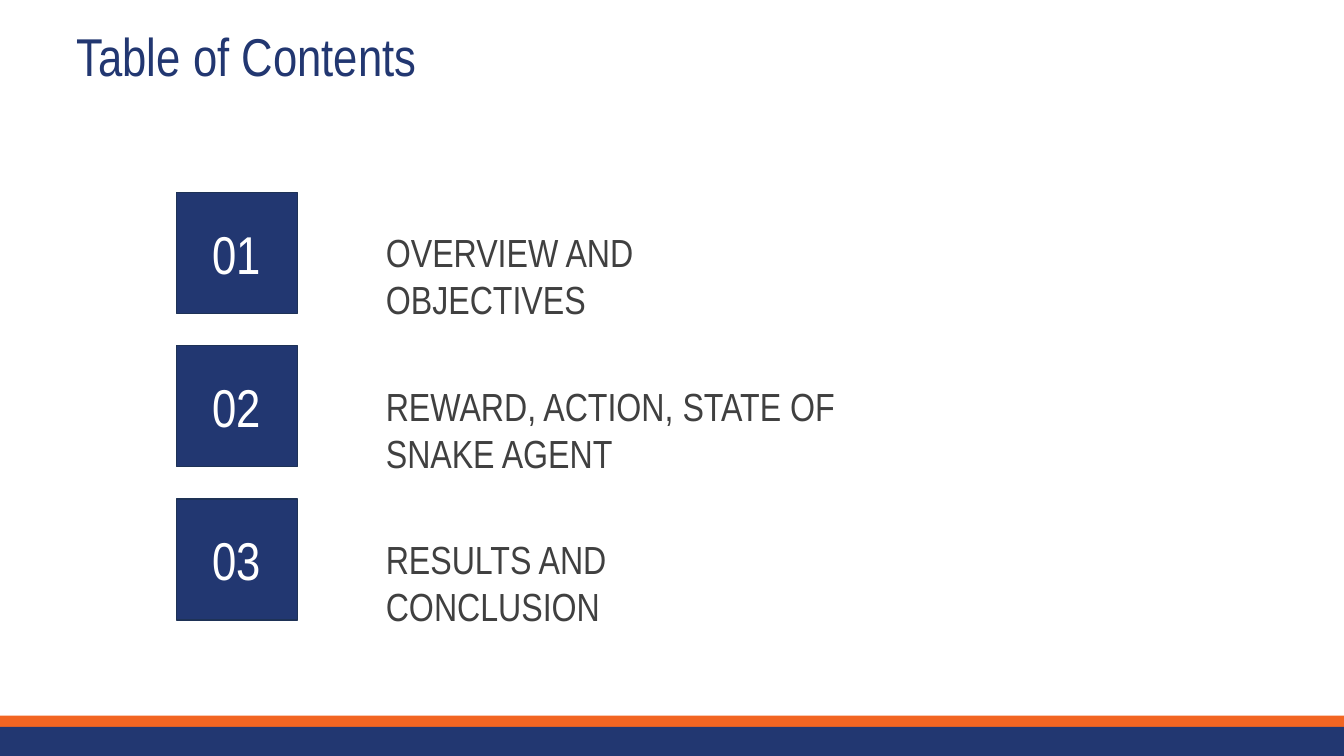
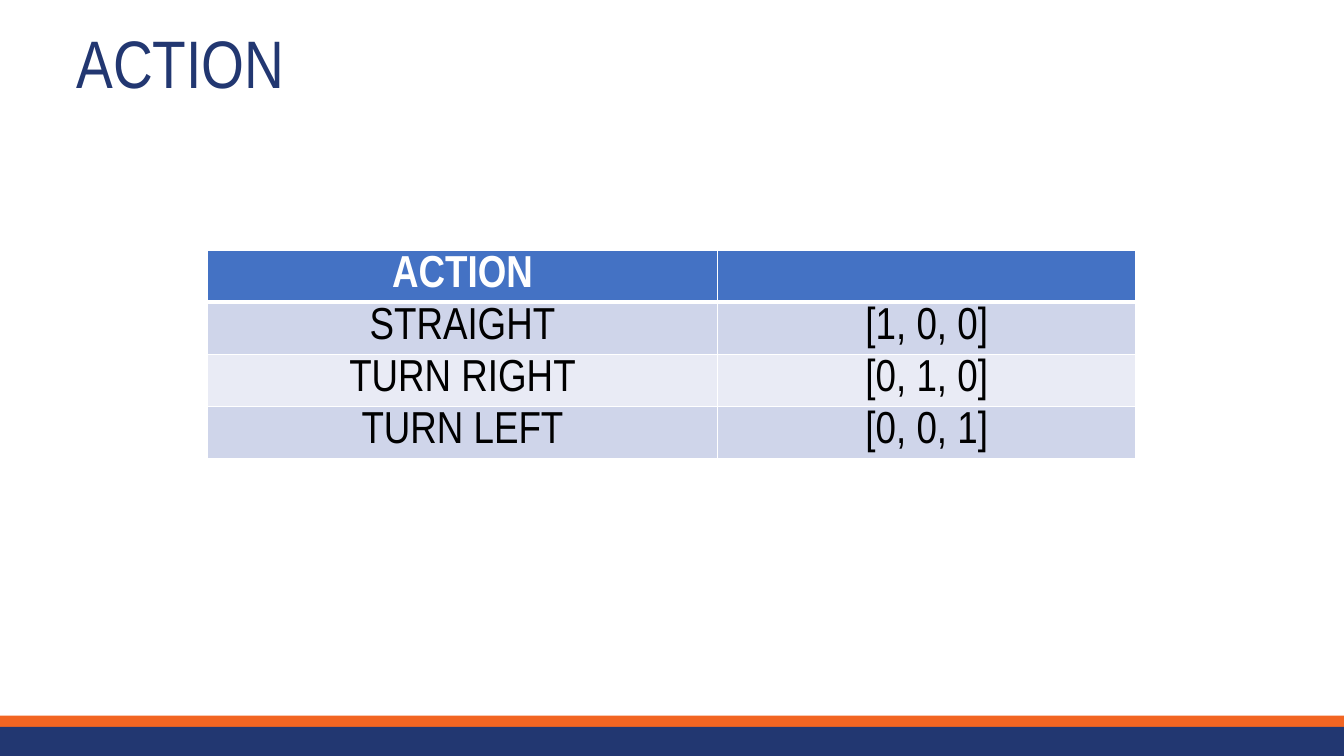
from dataclasses import dataclass
from typing import NamedTuple

from lxml.etree import SubElement
from pptx import Presentation
from pptx.dml.color import RGBColor
from pptx.enum.shapes import MSO_SHAPE
from pptx.enum.text import MSO_ANCHOR, MSO_AUTO_SIZE, PP_ALIGN
from pptx.oxml.ns import qn
from pptx.shapes.autoshape import Shape
from pptx.slide import Slide, SlideLayout
from pptx.table import _Cell
from pptx.text.text import TextFrame
from pptx.util import Emu, Inches, Pt

COLUMNS, ROWS = 160, 90
UNIT = Inches(1) // 12


@dataclass(frozen=True)
class Theme:
    """Colours, typeface and type sizes of the deck."""

    font: str = "Arial Narrow"
    navy: str = "223771"
    navy_edge: str = "1E3256"
    orange: str = "F26522"
    white: str = "FFFFFF"
    black: str = "000000"
    gray: str = "404040"
    header: str = "4472C4"
    stripes: tuple[str, str] = ("CFD5EA", "E9EBF5")
    heading: int = 38
    large_heading: int = 48
    agenda: int = 28
    table: int = 32


class Area(NamedTuple):
    """A rectangle in grid columns and rows."""

    column: float
    row: float
    width: float
    height: float

    def lengths(self) -> tuple[Emu, ...]:
        """Return left, top, width and height as slide lengths."""
        return tuple(Emu(round(value * UNIT)) for value in self)


class Band(NamedTuple):
    """A footer strip across the slide."""

    row: float
    height: float
    color: str


class AgendaItem(NamedTuple):
    """One agenda entry and the width of its label."""

    label: str
    width: float


THEME = Theme()
TITLE = Area(7.92, 3, 102.12, 7.32)
BANDS = (Band(85.2, 1.4, THEME.orange), Band(86.52, 3.48, THEME.navy))
AGENDA = (
    AgendaItem("OVERVIEW AND OBJECTIVES", 43.44),
    AgendaItem("REWARD, ACTION, STATE OF SNAKE AGENT", 64.32),
    AgendaItem("RESULTS AND CONCLUSION", 42),
)
AGENDA_TOP, AGENDA_PITCH = 22.92, 18.24
ACTIONS = (
    ("ACTION", ""),
    ("STRAIGHT", "[1, 0, 0]"),
    ("TURN RIGHT", "[0, 1, 0]"),
    ("TURN LEFT", "[0, 0, 1]"),
)
ACTION_COLUMNS = (60.72, 49.8)
ACTION_ROW = 6.18


def write(frame: TextFrame, text: str, size: int, color: str,
          align: PP_ALIGN = PP_ALIGN.LEFT, bold: bool = False) -> None:
    """Fill a text frame with one formatted paragraph."""
    paragraph = frame.paragraphs[0]
    if text:
        paragraph.text = text
    paragraph.alignment = align
    paragraph.font.name = THEME.font
    paragraph.font.size = Pt(size)
    paragraph.font.bold = bold
    paragraph.font.color.rgb = RGBColor.from_string(color)


def add_block(slide: Slide, area: Area, color: str) -> Shape:
    """Add a filled rectangle without outline or shadow."""
    block = slide.shapes.add_shape(MSO_SHAPE.RECTANGLE, *area.lengths())
    block.shadow.inherit = False
    block.fill.solid()
    block.fill.fore_color.rgb = RGBColor.from_string(color)
    block.line.fill.background()
    return block


def style_layout(layout: SlideLayout, slide: Slide) -> None:
    """Place the shared title and footer bands on the layout."""
    title = layout.placeholders[0]
    title.left, title.top, title.width, title.height = TITLE.lengths()
    for index, band in enumerate(BANDS):
        block = add_block(slide, Area(0, band.row, COLUMNS, band.height), band.color)
        layout.shapes.element.insert(2 + index, block.element)


def set_title(slide: Slide, text: str, size: int) -> None:
    """Write the slide title in the title placeholder."""
    frame = slide.shapes.title.text_frame
    frame.auto_size = MSO_AUTO_SIZE.NONE
    frame.vertical_anchor = MSO_ANCHOR.TOP
    write(frame, text, size, THEME.navy)
    frame.paragraphs[0].line_spacing = 0.9


def add_agenda_item(slide: Slide, index: int, item: AgendaItem) -> None:
    """Add a numbered square and its label."""
    row = AGENDA_TOP + index * AGENDA_PITCH
    square = add_block(slide, Area(21, row, 14.4, 14.4), THEME.navy)
    square.line.color.rgb = RGBColor.from_string(THEME.navy_edge)
    square.line.width = Pt(1)
    square.text_frame.vertical_anchor = MSO_ANCHOR.MIDDLE
    write(square.text_frame, f"{index + 1:02}", THEME.heading, THEME.white, PP_ALIGN.CENTER)
    label = slide.shapes.add_textbox(*Area(44.76, row + 3.72, item.width, 6.84).lengths())
    label.text_frame.word_wrap = True
    write(label.text_frame, item.label, THEME.agenda, THEME.gray)


def set_borders(cell: _Cell, top: int, bottom: int) -> None:
    """Give a cell white borders with the given top and bottom widths."""
    properties = cell._tc.get_or_add_tcPr()
    sides = {"a:lnL": 1, "a:lnR": 1, "a:lnT": top, "a:lnB": bottom}
    for index, (tag, width) in enumerate(sides.items()):
        line = SubElement(properties, qn(tag), w=str(Pt(width)))
        fill = SubElement(line, qn("a:solidFill"))
        SubElement(fill, qn("a:srgbClr"), val=THEME.white)
        properties.insert(index, line)


def add_action_table(slide: Slide) -> None:
    """Add the table of actions and their vectors."""
    area = Area(24.72, 29.76, sum(ACTION_COLUMNS), ACTION_ROW * len(ACTIONS))
    table = slide.shapes.add_table(len(ACTIONS), len(ACTION_COLUMNS), *area.lengths()).table
    for column, width in zip(table.columns, ACTION_COLUMNS):
        column.width = Emu(round(width * UNIT))
    for row, texts in enumerate(ACTIONS):
        is_header = row == 0
        fill = THEME.header if is_header else THEME.stripes[(row - 1) % 2]
        for column, text in enumerate(texts):
            cell = table.cell(row, column)
            cell.margin_top = cell.margin_bottom = Inches(0.05)
            cell.vertical_anchor = MSO_ANCHOR.TOP
            cell.fill.solid()
            cell.fill.fore_color.rgb = RGBColor.from_string(fill)
            set_borders(cell, top=3 if row == 1 else 1, bottom=3 if is_header else 1)
            write(cell.text_frame, text, THEME.table,
                  THEME.white if is_header else THEME.black, PP_ALIGN.CENTER, is_header)


def main() -> None:
    """Build and save the presentation."""
    presentation = Presentation()
    presentation.slide_width = Emu(COLUMNS * UNIT)
    presentation.slide_height = Emu(ROWS * UNIT)
    layout = presentation.slide_layouts[5]

    contents = presentation.slides.add_slide(layout)
    style_layout(layout, contents)
    set_title(contents, "Table of Contents", THEME.heading)
    for index, item in enumerate(AGENDA):
        add_agenda_item(contents, index, item)

    action = presentation.slides.add_slide(layout)
    set_title(action, "ACTION", THEME.large_heading)
    add_action_table(action)

    presentation.save("out.pptx")


if __name__ == "__main__":
    main()
